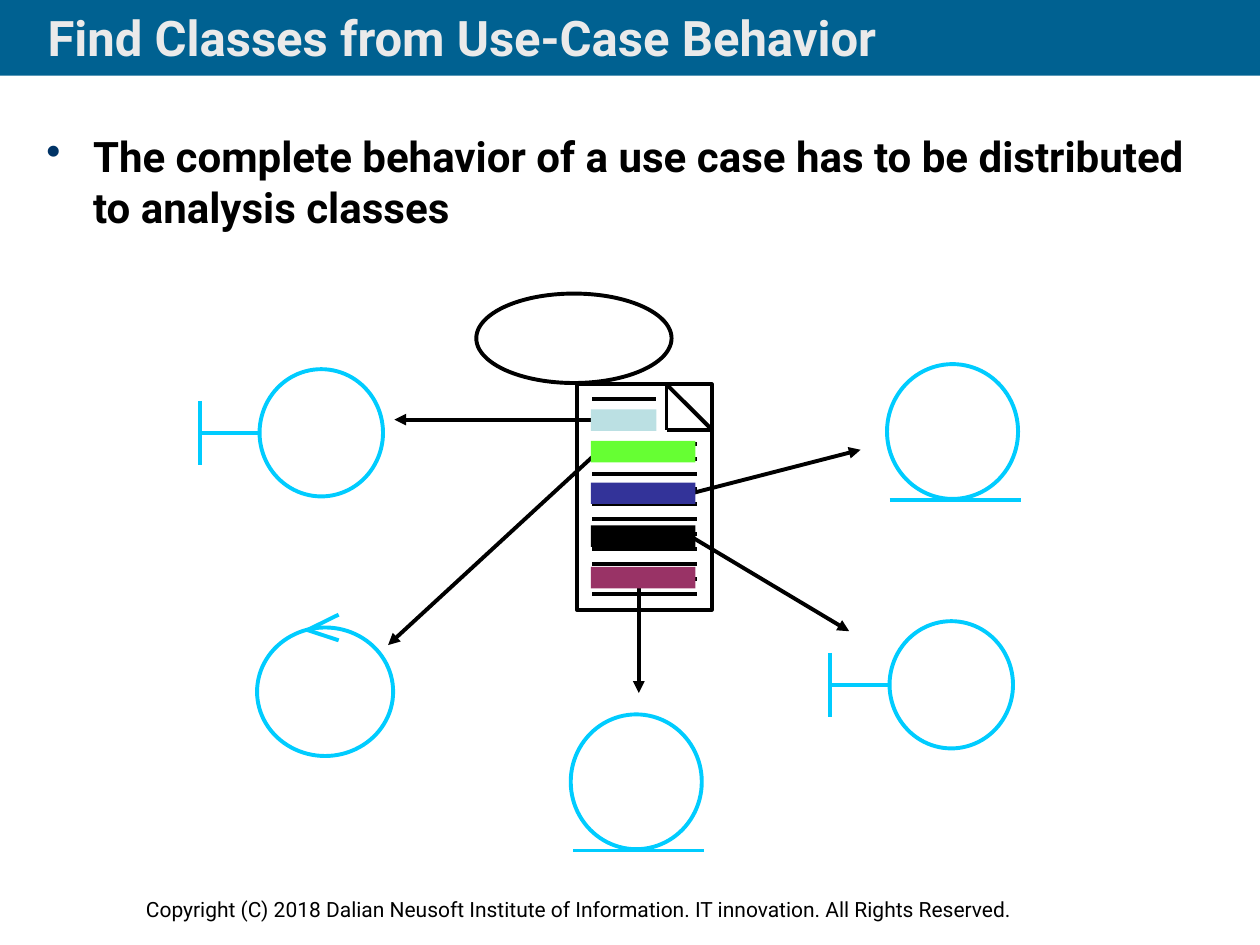
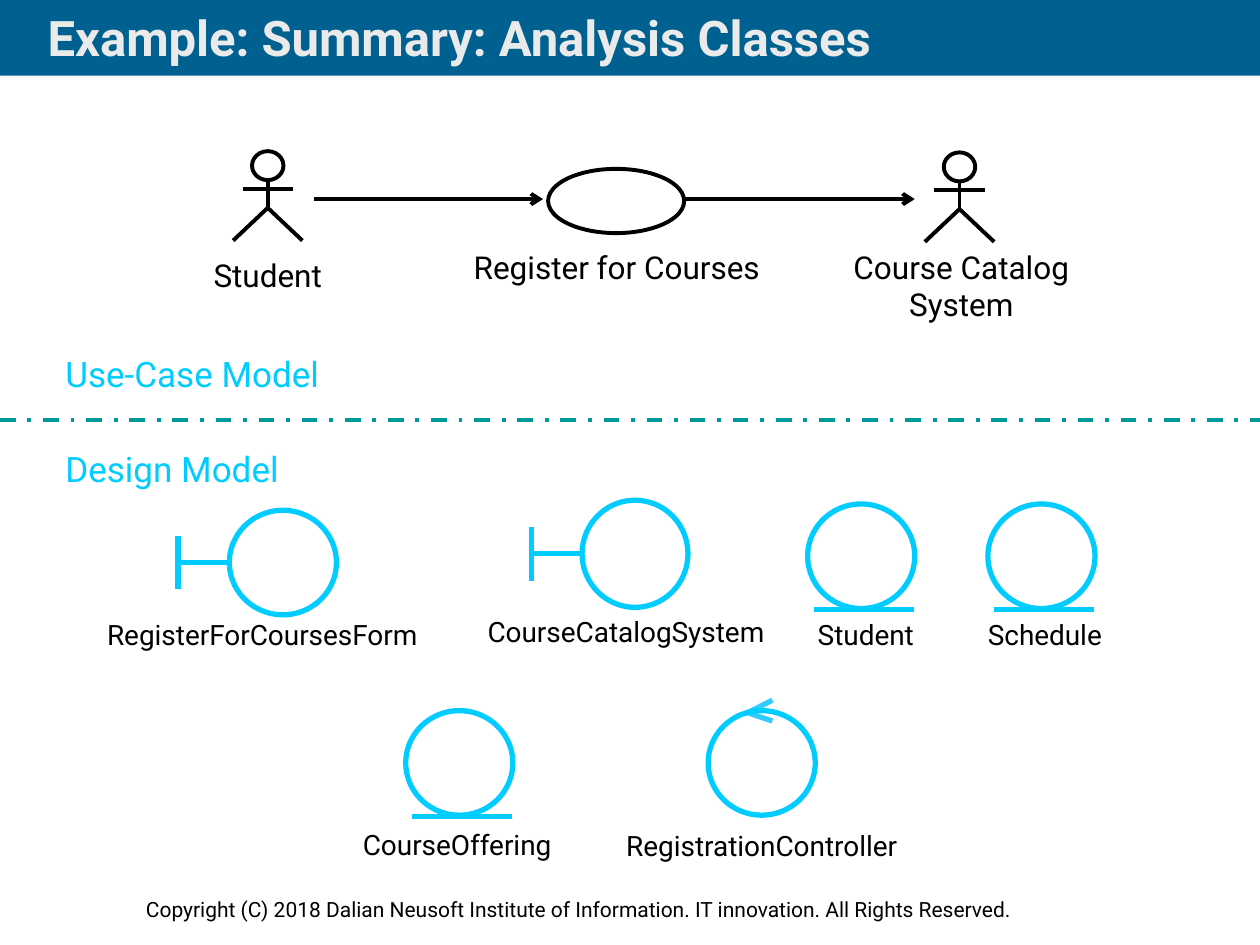
from lxml import etree
from pptx import Presentation
from pptx.dml.color import RGBColor
from pptx.enum.dml import MSO_LINE
from pptx.enum.shapes import MSO_CONNECTOR, MSO_SHAPE
from pptx.enum.text import MSO_ANCHOR, MSO_AUTO_SIZE, PP_ALIGN
from pptx.oxml.ns import qn
from pptx.util import Inches, Pt

FONT = "Roboto"
BLACK, CYAN, LIGHT_CYAN, TEAL = "000000", "00CCFF", "33CCFF", "009999"
BAND_BLUE, TITLE_GREY, BULLET_NAVY = "006191", "EAEAEA", "003366"
FOOTER = ("Copyright (C) 2018 Dalian Neusoft Institute of Information. "
          "IT innovation. All Rights Reserved.")

# Slide 1: boxes are left, top, width, height; arrows are start x, y, end x, y
BEHAVIOR_TITLE = "Find Classes from Use-Case Behavior"
BEHAVIOR_POINT = ("The complete behavior of a use case has to be distributed "
                  "to analysis classes")
DOCUMENT = (4.58, 3.05, 1.07, 1.79)
FOLD = 0.36
TEXT_LINE_LEFT, TEXT_LINE_GAP = 4.7, 0.12
SHORT_LINES, LONG_LINES = 3, 11
BEHAVIOR_ARROWS = [
    (4.81, 3.33, 3.13, 3.33), (5.47, 3.92, 6.83, 3.57), (5.07, 4.5, 5.07, 5.5),
    (5.47, 4.25, 6.74, 5.01), (4.72, 3.61, 3.08, 5.12),
]
BEHAVIOR_BANDS = [  # top, width, colour
    (3.25, 0.52, "BBE0E3"), (3.5, 0.83, "66FF33"), (3.83, 0.83, "333399"),
    (4.17, 0.83, BLACK), (4.5, 0.83, "993366"),
]
BEHAVIOR_CLASSES = [
    ("entity", (7.04, 2.89, 1.04, 1.07)),
    ("control", (2.04, 4.98, 1.08, 1.02)),
    ("boundary", (2.06, 2.93, 0.98, 1.01)),
    ("entity", (4.53, 5.67, 1.04, 1.07)),
    ("boundary", (7.06, 4.93, 0.98, 1.01)),
]

# Slide 2
SUMMARY_TITLE = "Example: Summary: Analysis Classes"
ACTOR_HEADS = [(2.0, 1.2), (7.49, 1.21)]
USE_CASE_LABELS = [
    (["Student"], (1.57, 1.98, 1.11, 0.4)),
    (["Register for Courses"], (3.47, 1.92, 2.85, 0.4)),
    (["Course Catalog", "System"], (6.61, 1.92, 2.04, 0.71)),
]
USE_CASE_ARROWS = [(2.49, 1.58, 4.31, 1.58), (5.44, 1.58, 7.26, 1.58)]
MODEL_NAMES = [("Use-Case Model", 2.75), ("Design Model", 3.5)]
SUMMARY_CLASSES = [  # kind, circle, name, box of the name
    ("boundary", (1.82, 4.05, 0.85, 0.83), "RegisterForCoursesForm", (0.85, 4.9, 2.53, 0.27)),
    ("boundary", (4.62, 3.97, 0.84, 0.85), "CourseCatalogSystem", (3.87, 4.88, 2.24, 0.27)),
    ("entity", (6.41, 4.0, 0.85, 0.83), "Student", (6.49, 4.9, 0.77, 0.27)),
    ("entity", (7.84, 4.0, 0.85, 0.83), "Schedule", (7.84, 4.9, 0.93, 0.27)),
    ("entity", (3.22, 5.64, 0.85, 0.83), "CourseOffering", (2.88, 6.57, 1.52, 0.27)),
    ("control", (5.62, 5.64, 0.85, 0.83), "RegistrationController", (4.97, 6.58, 2.17, 0.27)),
]


def rgb(color):
    return RGBColor.from_string(color)


def style_shape(shape, fill=None, line=None, width=2.25):
    shape.shadow.inherit = False
    if fill:
        shape.fill.solid()
        shape.fill.fore_color.rgb = rgb(fill)
    else:
        shape.fill.background()
    if line:
        shape.line.color.rgb = rgb(line)
        shape.line.width = Pt(width)
    else:
        shape.line.fill.background()


def add_box(slide, kind, box, **style):
    shape = slide.shapes.add_shape(kind, *map(Inches, box))
    style_shape(shape, **style)


def add_line(slide, ends, color=BLACK, width=2.25, head=None, dash=None):
    connector = slide.shapes.add_connector(MSO_CONNECTOR.STRAIGHT, *map(Inches, ends))
    connector.line.color.rgb = rgb(color)
    connector.line.width = Pt(width)
    if dash:
        connector.line.dash_style = dash
    if head:
        outline = connector.line._get_or_add_ln()
        etree.SubElement(outline, qn("a:tailEnd"), type=head)
    etree.SubElement(connector._element.spPr, qn("a:effectLst"))


def add_text(slide, lines, box, size, color=BLACK, bold=False, align=PP_ALIGN.LEFT,
             anchor=MSO_ANCHOR.TOP, wrap=True, margins=(0.1, 0.05), bullet=None):
    frame = slide.shapes.add_textbox(*map(Inches, box)).text_frame
    frame.word_wrap = wrap
    if not wrap:
        frame.auto_size = MSO_AUTO_SIZE.SHAPE_TO_FIT_TEXT
    frame.vertical_anchor = anchor
    frame.margin_left = frame.margin_right = Inches(margins[0])
    frame.margin_top = frame.margin_bottom = Inches(margins[1])
    for index, line in enumerate(lines):
        paragraph = frame.add_paragraph() if index else frame.paragraphs[0]
        paragraph.alignment = align
        if index:
            paragraph.line_spacing = 0.5
            paragraph.space_before = Pt(size / 2)
        if bullet:
            add_bullet(paragraph, bullet)
        run = paragraph.add_run()
        run.text = line
        run.font.name = FONT
        run.font.size = Pt(size)
        run.font.bold = bold
        run.font.color.rgb = rgb(color)


def add_bullet(paragraph, color, indent=0.37):
    properties = paragraph._p.get_or_add_pPr()
    properties.set("marL", str(Inches(indent)))
    properties.set("indent", str(-Inches(indent)))
    bullet_color = etree.SubElement(properties, qn("a:buClr"))
    etree.SubElement(bullet_color, qn("a:srgbClr"), val=color)
    etree.SubElement(properties, qn("a:buChar"), char="•")


def add_titled_slide(presentation, title):
    slide = presentation.slides.add_slide(presentation.slide_layouts[6])
    add_box(slide, MSO_SHAPE.RECTANGLE, (0, 0, 10, 0.6), fill=BAND_BLUE)
    add_text(slide, [FOOTER], (1.06, 7.07, 8.28, 0.3), 12, wrap=False)
    add_text(slide, [title], (0.28, 0, 8.03, 0.59), 28, TITLE_GREY, bold=True,
             anchor=MSO_ANCHOR.MIDDLE)
    return slide


def add_analysis_class(slide, kind, circle, width, base, tick_color=CYAN):
    """Draw a class circle with its mark; base is offset and length of an entity's line."""
    left, top, across, down = circle
    marks = {
        "entity": [(left + base[0], top + down + 0.01,
                    left + base[0] + base[1], top + down + 0.01)],
        "boundary": [
            (left - 0.48 * across, top + 0.25 * down, left - 0.48 * across, top + 0.75 * down),
            (left - 0.48 * across, top + 0.5 * down, left, top + 0.5 * down),
        ],
        "control": [
            (left + 0.6 * across, top + rise * down, left + 0.37 * across, top + 0.02 * down)
            for rise in (-0.1, 0.1)
        ],
    }
    for ends in marks[kind]:
        add_line(slide, ends, tick_color if kind == "control" else CYAN, width)
    add_box(slide, MSO_SHAPE.OVAL, circle, line=CYAN, width=width)


def add_document(slide):
    left, top, width, _ = DOCUMENT
    right, fold_left, fold_bottom = left + width, left + width - FOLD, top + FOLD
    add_box(slide, MSO_SHAPE.RECTANGLE, DOCUMENT, line=BLACK)
    add_line(slide, (fold_left, top, right, fold_bottom))
    add_line(slide, (fold_left, top, fold_left, fold_bottom))
    add_line(slide, (right, fold_bottom, fold_left, fold_bottom))
    for index in range(SHORT_LINES + LONG_LINES):
        y = top + (index + 1) * TEXT_LINE_GAP - 0.001 * index
        end = 5.21 if index < SHORT_LINES else 5.53
        add_line(slide, (TEXT_LINE_LEFT, y, end, y))


def add_actor(slide, left, top):
    center, hip, foot = left + 0.125, top + 0.45, top + 0.71
    add_box(slide, MSO_SHAPE.OVAL, (left, top, 0.25, 0.23), line=BLACK)
    add_line(slide, (center, top + 0.23, center, hip))
    add_line(slide, (center - 0.2, top + 0.3, center + 0.2, top + 0.3))
    builder = slide.shapes.build_freeform(Inches(center - 0.275), Inches(foot))
    builder.add_line_segments([(Inches(center), Inches(hip)),
                               (Inches(center + 0.275), Inches(foot))], close=False)
    style_shape(builder.convert_to_shape(), line=BLACK)


def build_behavior_slide(presentation):
    slide = add_titled_slide(presentation, BEHAVIOR_TITLE)
    add_text(slide, [BEHAVIOR_POINT], (0.27, 0.99, 9.45, 5.86), 24, bold=True,
             bullet=BULLET_NAVY)
    add_box(slide, MSO_SHAPE.OVAL, (3.78, 2.33, 1.55, 0.71), line=BLACK)
    add_document(slide)
    for ends in BEHAVIOR_ARROWS:
        add_line(slide, ends, head="triangle")
    for top, width, color in BEHAVIOR_BANDS:
        add_box(slide, MSO_SHAPE.RECTANGLE, (4.69, top, width, 0.17), fill=color)
    for kind, circle in BEHAVIOR_CLASSES:
        add_analysis_class(slide, kind, circle, 2.25, base=(0.02, 1.04))


def build_summary_slide(presentation):
    slide = add_titled_slide(presentation, SUMMARY_TITLE)
    for head in ACTOR_HEADS:
        add_actor(slide, *head)
    add_box(slide, MSO_SHAPE.OVAL, (4.35, 1.34, 1.08, 0.51), line=BLACK)
    for ends in USE_CASE_ARROWS:
        add_line(slide, ends, head="arrow")
    for lines, box in USE_CASE_LABELS:
        add_text(slide, lines, box, 18, align=PP_ALIGN.CENTER)
    add_line(slide, (0, 3.33, 10, 3.33), TEAL, dash=MSO_LINE.DASH_DOT)
    for name, top in MODEL_NAMES:
        add_text(slide, [name], (0.42, top, 2.75, 0.44), 20, CYAN)
    for kind, circle, name, box in SUMMARY_CLASSES:
        add_analysis_class(slide, kind, circle, 3, base=(0.05, 0.79), tick_color=LIGHT_CYAN)
        add_text(slide, [name], box, 16, wrap=False, margins=(0, 0))


def main():
    presentation = Presentation()
    presentation.slide_width = Inches(10)
    presentation.slide_height = Inches(7.5)
    build_behavior_slide(presentation)
    build_summary_slide(presentation)
    presentation.save("out.pptx")


if __name__ == "__main__":
    main()
